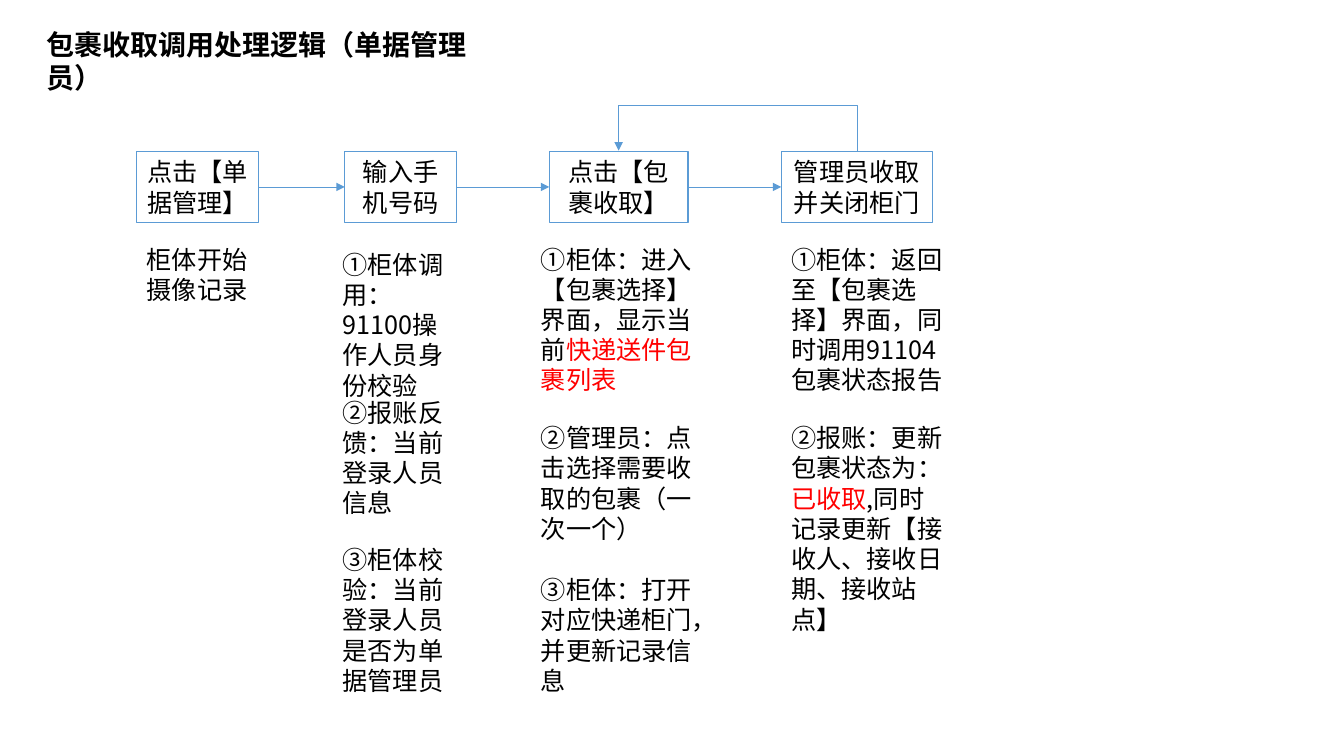
import pptx
import pptx.util
import pptx.dml.color
import pptx.enum.shapes
import pptx.enum.text
import pptx.oxml
import pptx.oxml.ns
from pptx.util import Cm

COLORS = {"text": "000000", "alert": "FF0000", "line": "5B9BD5"}
FONT = "Noto Sans CJK SC"
STEP_TOP, STEP_HEIGHT = 3.81, 1.8
LOOP_RISE, LOOP_DEPTH = 1.17, 0.03

STEPS = [
    {"box": (3.45, 3.07), "label": "点击【单据管理】", "shift": 0, "note_width": 3.48,
     "notes": [(2.21, 2, [("柜体开始摄像记录", "text")])]},
    {"box": (8.69, 2.82), "label": "输入手机号码", "shift": -0.31, "note_width": 3.48,
     "notes": [
         (2.34, 4, [("①柜体调用：91100操作人员身份校验", "text")]),
         (6.07, 4, [("②报账反馈：当前登录人员信息", "text")]),
         (9.78, 5, [("③柜体校验：当前登录人员是否为单据管理员", "text")])]},
    {"box": (13.84, 3.5), "label": "点击【包裹收取】", "shift": -0.46, "note_width": 4.38,
     "notes": [
         (2.21, 5, [("①柜体：进入【包裹选择】界面，显示当前", "text"),
                    ("快递送件包裹列表", "alert")]),
         (6.71, 4, [("②管理员：点击选择需要收取的包裹（一次一个）", "text")]),
         (10.54, 4, [("③柜体：打开对应快递柜门，并更新记录信息", "text")])]},
    {"box": (19.69, 3.81), "label": "管理员收取并关闭柜门", "shift": 0, "note_width": 4.4,
     "notes": [
         (2.21, 5, [("①柜体：返回至【包裹选择】界面，同时调用91104包裹状态报告", "text")]),
         (6.71, 6, [("②报账：更新包裹状态为：", "text"), ("已收取", "alert"),
                    (",同时记录更新【接收人、接收日期、接收站点】", "text")])]},
]


def rgb(name):
    return pptx.dml.color.RGBColor.from_string(COLORS[name])


def write(frame, runs, size=18, bold=False, align="LEFT", anchor="TOP"):
    frame.word_wrap = True
    frame.auto_size = pptx.enum.text.MSO_AUTO_SIZE.SHAPE_TO_FIT_TEXT
    frame.vertical_anchor = getattr(pptx.enum.text.MSO_ANCHOR, anchor)
    paragraph = frame.paragraphs[0]
    paragraph.alignment = getattr(pptx.enum.text.PP_ALIGN, align)
    for words, color in runs:
        run = paragraph.add_run()
        run.text = words
        run.font.name = FONT
        run.font.size = pptx.util.Pt(size)
        run.font.bold = bold
        run.font.color.rgb = rgb(color)
        east_asian = pptx.oxml.parse_xml(
            f'<a:ea {pptx.oxml.ns.nsdecls("a")} typeface="{FONT}"/>')
        run.font._element.find(pptx.oxml.ns.qn("a:latin")).addnext(east_asian)


def add_title(slide, left, top, width, height):
    title = slide.shapes.title
    title.left, title.top, title.width, title.height = map(Cm, (left, top, width, height))
    write(title.text_frame, [("包裹收取调用处理逻辑（单据管理员）", "text")], 20, True)


def add_step(slide, step):
    left, width = step["box"]
    action = slide.shapes.add_shape(
        pptx.enum.shapes.MSO_SHAPE.RECTANGLE,
        Cm(left), Cm(STEP_TOP), Cm(width), Cm(STEP_HEIGHT))
    action.shadow.inherit = False
    action.fill.background()
    action.line.color.rgb = rgb("line")
    action.line.width = pptx.util.Pt(0.75)
    write(action.text_frame, [(step["label"], "text")], align="CENTER", anchor="MIDDLE")
    for offset, lines, runs in step["notes"]:
        note = slide.shapes.add_textbox(
            Cm(left + step["shift"]), Cm(STEP_TOP + offset),
            Cm(step["note_width"]), Cm(0.25 + 0.77 * lines))
        write(note.text_frame, runs)
    return action


def style_arrow(arrow):
    arrow.line.color.rgb = rgb("line")
    arrow.line.width = pptx.util.Pt(0.5)
    namespace = pptx.oxml.ns.nsdecls("a")
    arrow.line._get_or_add_ln().append(
        pptx.oxml.parse_xml(f'<a:tailEnd {namespace} type="triangle"/>'))
    arrow._element.spPr.append(pptx.oxml.parse_xml(f"<a:effectLst {namespace}/>"))


def add_next_arrow(slide, source, target):
    arrow = slide.shapes.add_connector(
        pptx.enum.shapes.MSO_CONNECTOR.STRAIGHT, 0, 0, 0, 0)
    arrow.begin_connect(source, 3)
    arrow.end_connect(target, 1)
    style_arrow(arrow)


def add_return_loop(slide, source, target):
    start = source.left + source.width // 2
    end = target.left + target.width // 2
    middle, half_span = (start + end) // 2, (start - end) // 2
    half_depth = Cm(LOOP_DEPTH / 2)
    loop = slide.shapes.add_connector(
        pptx.enum.shapes.MSO_CONNECTOR.ELBOW,
        middle - half_depth, source.top + half_span,
        middle + half_depth, source.top - half_span)
    properties = loop._element.spPr
    properties.find(pptx.oxml.ns.qn("a:xfrm")).set("rot", str(270 * 60000))
    bend = round(LOOP_RISE / LOOP_DEPTH * 100000)
    geometry = properties.find(pptx.oxml.ns.qn("a:prstGeom"))
    geometry.find(pptx.oxml.ns.qn("a:avLst")).append(pptx.oxml.parse_xml(
        f'<a:gd {pptx.oxml.ns.nsdecls("a")} name="adj1" fmla="val {bend}"/>'))
    style_arrow(loop)


def add_flow(slide):
    actions = [add_step(slide, step) for step in STEPS]
    for source, target in zip(actions, actions[1:]):
        add_next_arrow(slide, source, target)
    add_return_loop(slide, actions[3], actions[2])


presentation = pptx.Presentation()
presentation.slide_width, presentation.slide_height = Cm(33.87), Cm(19.05)
flow_slide = presentation.slides.add_slide(presentation.slide_layouts[5])
add_title(flow_slide, 0.91, 0.56, 12.17, 1.12)
add_flow(flow_slide)
presentation.save("out.pptx")
